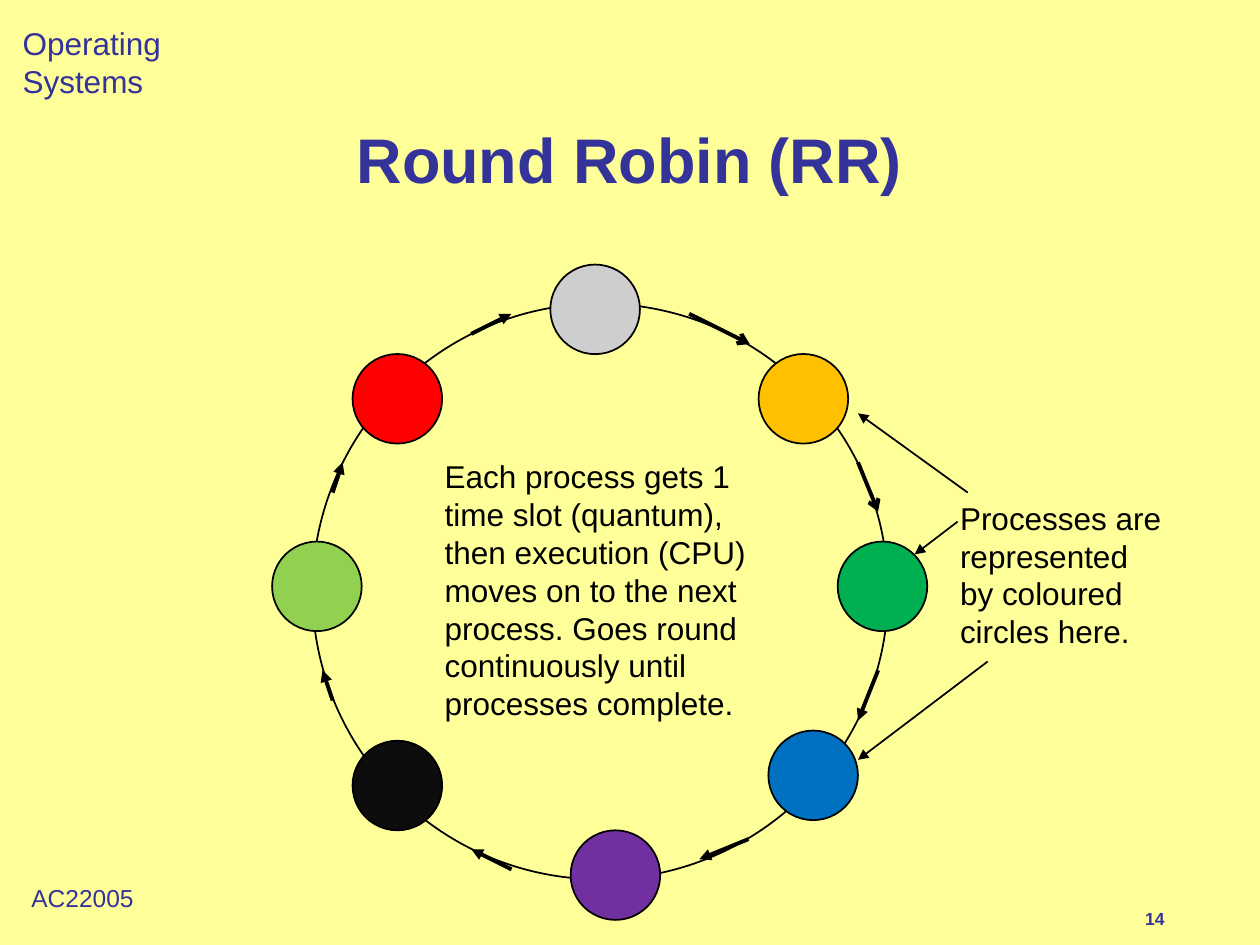
import dataclasses

import pptx
import pptx.dml.color
import pptx.enum.shapes
import pptx.enum.text
import pptx.oxml
import pptx.oxml.ns
import pptx.util

Pt = pptx.util.Pt
RGB = pptx.dml.color.RGBColor.from_string
AutoSize = pptx.enum.text.MSO_AUTO_SIZE


@dataclasses.dataclass(frozen=True)
class Theme:
    font: str = "Arial"
    background: str = "FFFF99"
    accent: str = "333399"
    ink: str = "000000"
    title: int = 36
    body: int = 18
    code: int = 14
    number: int = 10
    thin: float = 1
    thick: float = 2.25


THEME = Theme()
SLIDE_SIZE = (720, 540)
CIRCLE = 51.2

# Left, top, width, height
LABELS = [
    ("Operating Systems", (5.8, 10, 167, 29), THEME.body, False),
    ("14", (647.3, 515.5, 62.6, 18.7), THEME.number, True),
    ("AC22005", (10.8, 501, 72.7, 23.8), THEME.code, False),
]
TITLE_BOX = (77.8, 48.2, 563.8, 90)
RING_BOX = (178.5, 173.5, 329, 329)
NOTE_BOX = (541.5, 281.5, 130.3, 93.6)

# Circle corners, relative to the ring
PROCESSES = [
    ("0D0D0D", 23, 249.8),
    ("92D050", -23, 136),
    ("FF0000", 23, 28.8),
    ("0070C0", 260.6, 244),
    ("FFC000", 255, 28.8),
    ("7030A0", 147.6, 301),
    ("CECECE", 136, -22.3),
    ("00B050", 300.2, 136),
]
# Start x, start y, end x, end y, relative to the ring
TURNS = [
    (90.8, 17.3, 113.8, 5.8, "triangle"),
    (249.2, 306, 221.1, 317.5, "triangle"),
    (113.8, 323.3, 90.8, 311.8, "triangle"),
    (11.6, 226.8, 5.8, 209.5, "triangle"),
    (11.6, 108, 17.3, 90.7, "triangle"),
    (323.3, 209.5, 311.8, 238.3, "triangle"),
    (215.3, 5.8, 249.9, 23.1, "arrow"),
    (311.8, 90.7, 323.3, 118.8, "arrow"),
]
# Relative to the note
POINTERS = [
    (11.5, 0, -51.2, -45.3),
    (5.7, 16.6, -18.8, 35.3),
    (22.9, 96.5, -51.2, 152.7),
]
QUANTUM = ("Each process gets 1 time slot (quantum), then execution (CPU) moves on "
           "to the next process. Goes round continuously until processes complete.")
NOTE = "Processes are represented by coloured circles here."


def set_all(obj, values):
    for name, value in values.items():
        setattr(obj, name, value)


def write(tf, text, size, color, bold=False, **frame):
    set_all(tf, frame)
    p = tf.paragraphs[0]
    r = p.add_run()
    r.text = text
    set_all(r.font, {"name": THEME.font, "size": Pt(size), "bold": bold})
    r.font.color.rgb = RGB(color)
    return p


def add_text(s, box, text, size, color, bold=False, wrap=True):
    sp = s.shapes.add_textbox(*map(Pt, box))
    write(sp.text_frame, text, size, color, bold,
          word_wrap=wrap, auto_size=AutoSize.SHAPE_TO_FIT_TEXT)


def add_ellipse(s, box, fill=None):
    sp = s.shapes.add_shape(pptx.enum.shapes.MSO_SHAPE.OVAL, *map(Pt, box))
    sp.shadow.inherit = False
    if fill:
        sp.fill.solid()
        sp.fill.fore_color.rgb = RGB(fill)
    else:
        sp.fill.background()
    sp.line.color.rgb = RGB(THEME.ink)
    sp.line.width = Pt(THEME.thin)


def add_arrow(s, origin, ends, width, head="triangle"):
    x, y = origin
    x1, y1, x2, y2 = ends
    line = s.shapes.add_connector(
        pptx.enum.shapes.MSO_CONNECTOR.STRAIGHT,
        Pt(x + x1), Pt(y + y1), Pt(x + x2), Pt(y + y2))
    line.line.color.rgb = RGB(THEME.ink)
    line.line.width = Pt(width)
    ns = pptx.oxml.ns.nsdecls("a")
    line.line._get_or_add_ln().append(
        pptx.oxml.parse_xml(f'<a:tailEnd {ns} type="{head}"/>'))
    line._element.spPr.append(pptx.oxml.parse_xml(f"<a:effectLst {ns}/>"))


def add_labels(s):
    for text, box, size, bold in LABELS:
        add_text(s, box, text, size, THEME.accent, bold, wrap=False)


def add_title(s, box):
    sp = s.shapes.title
    set_all(sp, dict(zip(("left", "top", "width", "height"), map(Pt, box))))
    p = write(sp.text_frame, "Round Robin (RR)", THEME.title, THEME.accent, True,
              word_wrap=True, auto_size=AutoSize.NONE,
              vertical_anchor=pptx.enum.text.MSO_ANCHOR.MIDDLE)
    set_all(p, {"alignment": pptx.enum.text.PP_ALIGN.CENTER, "line_spacing": 0.9})


def add_ring(s, box):
    """Draw the ring of processes, its turn arrows and the text inside."""
    x, y = box[:2]
    add_ellipse(s, box)
    for color, dx, dy in PROCESSES:
        add_ellipse(s, (x + dx, y + dy, CIRCLE, CIRCLE), color)
    for *ends, head in TURNS:
        add_arrow(s, (x, y), ends, THEME.thick, head)
    add_text(s, (x + 68.5, y + 84.3, 187.2, 158.4), QUANTUM, THEME.body, THEME.ink)


def add_note(s, box):
    """Write the side note and point it at three circles."""
    add_text(s, box, NOTE, THEME.body, THEME.ink)
    for ends in POINTERS:
        add_arrow(s, box[:2], ends, THEME.thin)


def main():
    prs = pptx.Presentation()
    prs.slide_width, prs.slide_height = map(Pt, SLIDE_SIZE)
    s = prs.slides.add_slide(prs.slide_layouts.get_by_name("Title Only"))
    s.background.fill.solid()
    s.background.fill.fore_color.rgb = RGB(THEME.background)
    add_labels(s)
    add_title(s, TITLE_BOX)
    add_ring(s, RING_BOX)
    add_note(s, NOTE_BOX)
    prs.save("out.pptx")


if __name__ == "__main__":
    main()
